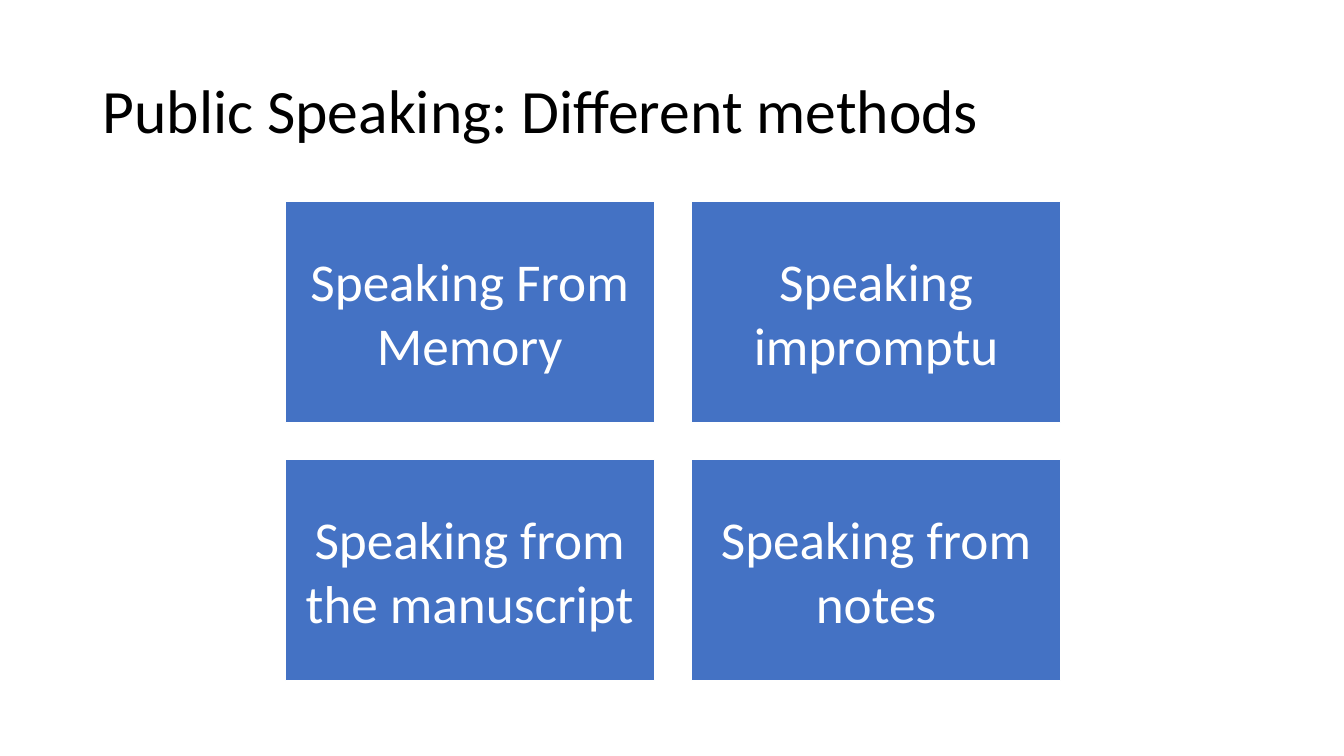
import pptx
import pptx.dml.color
import pptx.enum.shapes
import pptx.enum.text
import pptx.util
from pptx.util import Inches

TITLE = "Public Speaking: Different methods"
METHODS = [
    ["Speaking From Memory", "Speaking impromptu"],
    ["Speaking from the manuscript", "Speaking from notes"],
]
COLORS = {"title": "000000", "box": "4472C4", "light": "FFFFFF"}
FONT = "Calibri"

GRID_LEFT, GRID_TOP = 2.83, 2.0
BOX_WIDTH, BOX_HEIGHT = 3.66, 2.19
GAP = 0.37
BOX_INSET = 0.16


def color(name):
    return pptx.dml.color.RGBColor.from_string(COLORS[name])


def write_text(shape, text, size, color_name, alignment):
    frame = shape.text_frame
    frame.word_wrap = True
    frame.vertical_anchor = pptx.enum.text.MSO_ANCHOR.MIDDLE
    paragraph = frame.paragraphs[0]
    paragraph.alignment = alignment
    run = paragraph.add_run()
    run.text = text
    run.font.name = FONT
    run.font.size = pptx.util.Pt(size)
    run.font.color.rgb = color(color_name)
    return paragraph


def add_method_box(slide, text, left, top):
    box = slide.shapes.add_shape(
        pptx.enum.shapes.MSO_SHAPE.RECTANGLE,
        Inches(left), Inches(top), Inches(BOX_WIDTH), Inches(BOX_HEIGHT),
    )
    box.shadow.inherit = False
    box.fill.solid()
    box.fill.fore_color.rgb = color("box")
    box.line.color.rgb = color("light")
    box.line.width = pptx.util.Pt(1)
    frame = box.text_frame
    frame.margin_left = frame.margin_right = Inches(BOX_INSET)
    frame.margin_top = frame.margin_bottom = Inches(BOX_INSET)
    write_text(box, text, 38, "light", pptx.enum.text.PP_ALIGN.CENTER)


def main():
    presentation = pptx.Presentation()
    presentation.slide_width = Inches(13.33)
    presentation.slide_height = Inches(7.5)
    slide = presentation.slides.add_slide(presentation.slide_layouts[6])

    title = slide.shapes.add_textbox(
        Inches(0.92), Inches(0.4), Inches(11.5), Inches(1.45)
    )
    paragraph = write_text(title, TITLE, 44, "title", pptx.enum.text.PP_ALIGN.LEFT)
    paragraph.line_spacing = 0.9

    for row, methods in enumerate(METHODS):
        for column, method in enumerate(methods):
            left = GRID_LEFT + column * (BOX_WIDTH + GAP)
            top = GRID_TOP + row * (BOX_HEIGHT + GAP)
            add_method_box(slide, method, left, top)

    presentation.save("out.pptx")


if __name__ == "__main__":
    main()
